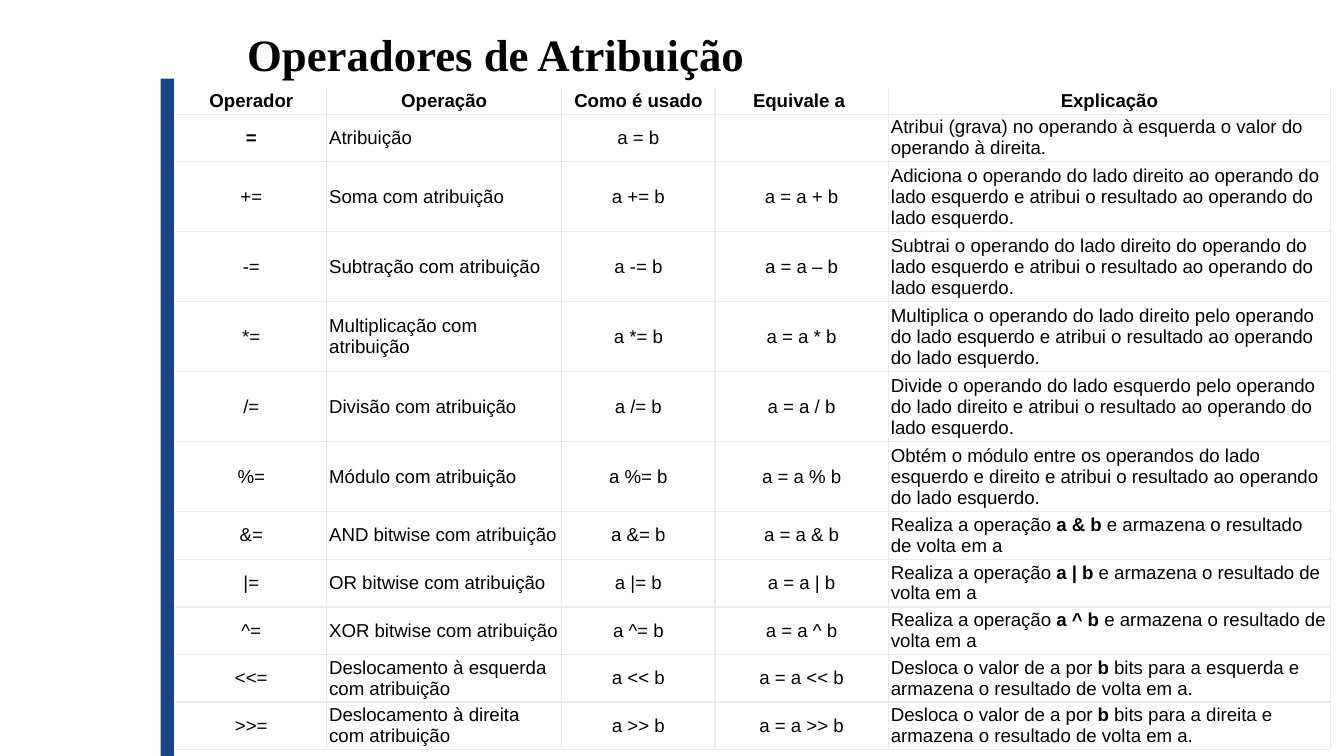
"""Build the slide that lists the assignment operators in a table."""

from dataclasses import dataclass

from lxml.etree import SubElement
from pptx import Presentation
from pptx.dml.color import RGBColor
from pptx.enum.shapes import MSO_SHAPE
from pptx.enum.text import MSO_ANCHOR, PP_ALIGN
from pptx.oxml.ns import qn
from pptx.util import Inches, Pt

BLACK = RGBColor(0x00, 0x00, 0x00)
WHITE = RGBColor(0xFF, 0xFF, 0xFF)
NAVY = RGBColor(0x17, 0x45, 0x84)
GRID_GRAY = RGBColor(0xEB, 0xEB, 0xEB)

HARD_SPACE = chr(160)
COLUMN_WIDTHS = (1.12, 1.75, 1.14, 1.29, 3.29)
HEADINGS = ("Operador", "Operação", "Como é usado", f"Equivale a{HARD_SPACE}", "Explicação")
HEADER_HEIGHT = 0.19
LEFT_ALIGNED_COLUMNS = (1, 4)


@dataclass(frozen=True)
class Operator:
    symbol: str
    operation: str
    usage: str
    equivalent: str
    explanation: tuple[str, ...]
    height: float = 0.35


def bitwise(symbol: str, name: str) -> Operator:
    expression = f"a {symbol} b"
    return Operator(
        f"{symbol}=", f"{name} bitwise com atribuição", f"a {symbol}= b", f"a = {expression}",
        (f"Realiza a operação{HARD_SPACE}", expression,
         f"{HARD_SPACE}e armazena o resultado de volta em a"),
    )


def shift(symbol: str, direction: str) -> Operator:
    expression = f"a {symbol} b"
    return Operator(
        f"{symbol}=", f"Deslocamento à {direction} com atribuição", expression, f"a = {expression}",
        (f"Desloca o valor de a por{HARD_SPACE}", "b",
         f"{HARD_SPACE}bits para a {direction} e armazena o resultado de volta em a."),
    )


def arithmetic(symbol: str, name: str, explanation: str, height: float, sign: str = "") -> Operator:
    return Operator(
        f"{symbol}=", f"{name} com atribuição", f"a {symbol}= b", f"a = a {sign or symbol} b",
        (f"{explanation} e atribui o resultado ao operando do lado esquerdo.",), height,
    )


OPERATORS = (
    Operator("=", "Atribuição", "a = b", "",
             ("Atribui (grava) no operando à esquerda o valor do operando à direita.",)),
    arithmetic("+", "Soma",
               "Adiciona o operando do lado direito ao operando do lado esquerdo", 0.52),
    arithmetic("-", "Subtração",
               "Subtrai o operando do lado direito do operando do lado esquerdo", 0.52, "–"),
    arithmetic("*", "Multiplicação",
               "Multiplica o operando do lado direito pelo operando do lado esquerdo", 0.52),
    arithmetic("/", "Divisão",
               "Divide o operando do lado esquerdo pelo operando do lado direito", 0.5),
    arithmetic("%", "Módulo",
               f"Obtém o módulo entre os operandos do lado{HARD_SPACE} esquerdo e direito", 0.5),
    bitwise("&", "AND"),
    bitwise("|", "OR"),
    bitwise("^", "XOR"),
    shift("<<", "esquerda"),
    shift(">>", "direita"),
)


def set_borders(cell, sides: list[str]) -> None:
    properties = cell._tc.get_or_add_tcPr()
    for position, side in enumerate(sides):
        line = SubElement(properties, qn(f"a:{side}"), w=str(Pt(0.75)))
        fill = SubElement(line, qn("a:solidFill"))
        SubElement(fill, qn("a:srgbClr"), val=str(GRID_GRAY))
        properties.insert(position, line)


def fill_cell(cell, spans: tuple[str, ...], align: PP_ALIGN, bold: bool) -> None:
    cell.fill.solid()
    cell.fill.fore_color.rgb = WHITE
    cell.vertical_anchor = MSO_ANCHOR.MIDDLE
    cell.margin_left = cell.margin_right = Inches(0.02)
    cell.margin_top = cell.margin_bottom = Inches(0.01)
    para = cell.text_frame.paragraphs[0]
    para.alignment = align
    para.font.name = "Arial"
    para.font.size = Pt(10)
    para.font.bold = bold
    para.font.color.rgb = BLACK
    for index, text in enumerate(spans):
        span = para.add_run()
        span.text = text
        if index % 2:
            span.font.bold = True


def add_operator_table(page) -> None:
    heights = [HEADER_HEIGHT] + [operator.height for operator in OPERATORS]
    table = page.shapes.add_table(
        len(heights), len(COLUMN_WIDTHS), Inches(1.31), Inches(0.66),
        Inches(sum(COLUMN_WIDTHS)), Inches(sum(heights)),
    ).table
    table.first_row = table.horz_banding = False
    for column, width in zip(table.columns, COLUMN_WIDTHS):
        column.width = Inches(width)
    for row, height in zip(table.rows, heights):
        row.height = Inches(height)

    contents = [[(heading,) for heading in HEADINGS]]
    for operator in OPERATORS:
        contents.append([(operator.symbol,), (operator.operation,), (operator.usage,),
                         (operator.equivalent,) if operator.equivalent else (),
                         operator.explanation])
    for row_index, row_spans in enumerate(contents):
        for column_index, spans in enumerate(row_spans):
            cell = table.cell(row_index, column_index)
            is_left = row_index > 0 and column_index in LEFT_ALIGNED_COLUMNS
            is_bold = row_index == 0 or spans == ("=",)
            fill_cell(cell, spans, PP_ALIGN.LEFT if is_left else PP_ALIGN.CENTER, is_bold)
            sides = ["lnL"] if column_index else []
            sides += ["lnR"] + (["lnT"] if row_index else []) + ["lnB"]
            set_borders(cell, sides)


def add_side_bar(page) -> None:
    bar = page.shapes.add_shape(
        MSO_SHAPE.RECTANGLE, Inches(-1.28), Inches(3.06), Inches(5.05), Inches(0.1))
    bar.rotation = 270
    bar.shadow.inherit = False
    bar.fill.solid()
    bar.fill.fore_color.rgb = NAVY
    bar.line.fill.background()


def add_title(page) -> None:
    box = page.shapes.add_textbox(Inches(1.74), Inches(0.15), Inches(8.69), Inches(0.5))
    box.text_frame.word_wrap = True
    para = box.text_frame.paragraphs[0]
    para.text = "Operadores de Atribuição"
    para.font.name = "Times New Roman"
    para.font.size = Pt(24)
    para.font.bold = True
    para.font.color.rgb = BLACK


def main() -> None:
    deck = Presentation()
    deck.slide_width = Inches(10)
    deck.slide_height = deck.slide_width * 9 // 16
    page = deck.slides.add_slide(deck.slide_layouts[6])
    add_side_bar(page)
    add_title(page)
    add_operator_table(page)
    deck.save("out.pptx")


if __name__ == "__main__":
    main()
